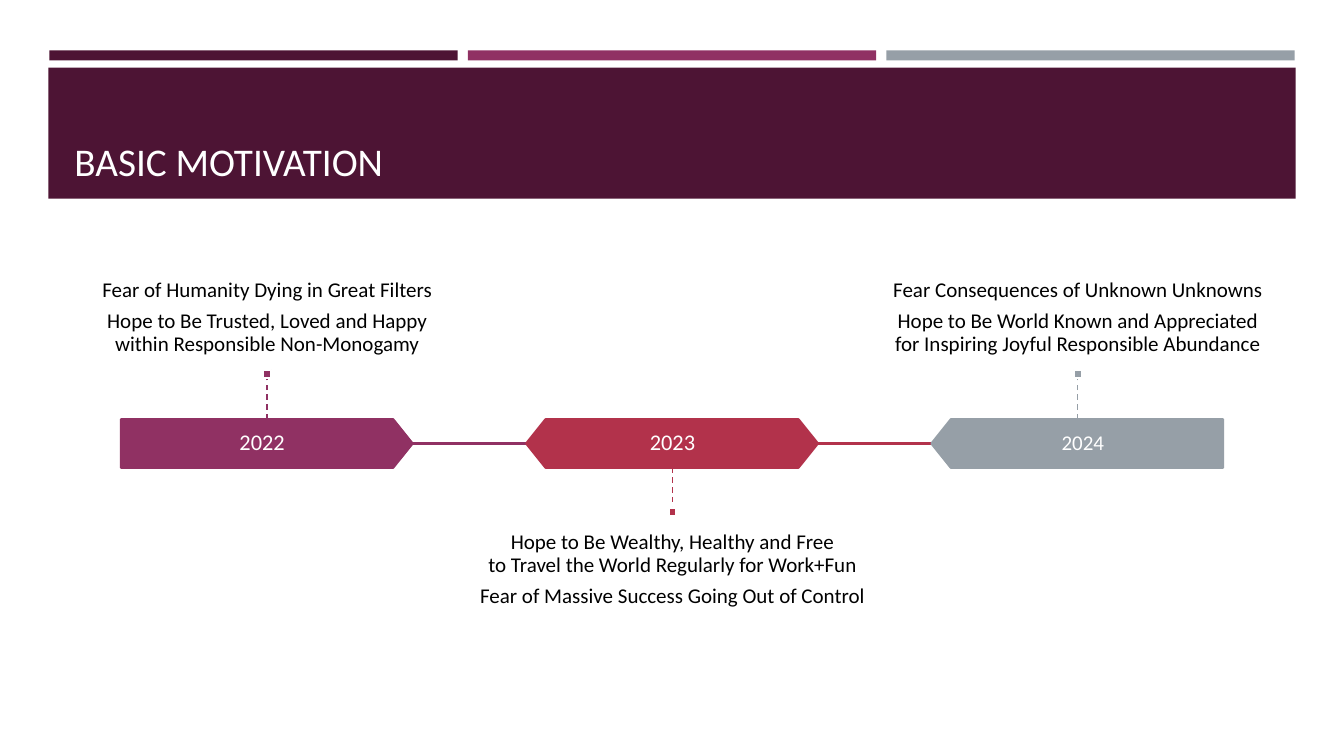
import copy
from dataclasses import dataclass

import pptx
import pptx.dml.color
import pptx.enum.dml
import pptx.enum.shapes
import pptx.enum.text
import pptx.oxml.ns
import pptx.oxml.xmlchemy
import pptx.util
import lxml.etree

KIND = pptx.enum.shapes.MSO_SHAPE
ANCHOR = pptx.enum.text.MSO_ANCHOR
ALIGN = pptx.enum.text.PP_ALIGN
QN = pptx.oxml.ns.qn


@dataclass(frozen=True)
class Theme:
    font: str = "Calibri"
    dark: str = "4D1434"
    plum: str = "903163"
    red: str = "B2324B"
    gray: str = "969FA7"
    white: str = "FFFFFF"
    black: str = "000000"
    title: int = 28
    year: int = 16
    small: int = 15
    rule: float = 1.75
    stem: int = 1


class Deck:
    """Draws styled elements on one slide, with lengths in px of 1/100 inch."""

    def __init__(self, theme, wide, high):
        self.theme = theme
        self.file = pptx.Presentation()
        self.file.slide_width = self.px(wide)
        self.file.slide_height = self.px(high)
        self.slide = self.file.slides.add_slide(self.file.slide_layouts[6])

    def px(self, value):
        return pptx.util.Emu(value * 9144)

    def color(self, value):
        return pptx.dml.color.RGBColor.from_string(value)

    def shape(self, box, fill, kind=KIND.RECTANGLE, edge=None, adj=None, turn=0):
        item = self.slide.shapes.add_shape(kind, *map(self.px, box))
        item.shadow.inherit = False
        item.fill.solid()
        item.fill.fore_color.rgb = self.color(fill)
        if edge:
            item.line.color.rgb = self.color(edge)
            item.line.width = pptx.util.Pt(self.theme.rule)
        else:
            item.line.fill.background()
        if adj is not None:
            item.adjustments[0] = adj
        item.rotation = turn

    def line(self, start, end, color, width, dash=False):
        item = self.slide.shapes.add_connector(
            pptx.enum.shapes.MSO_CONNECTOR.STRAIGHT, *map(self.px, start + end))
        item.line.color.rgb = self.color(color)
        item.line.width = pptx.util.Pt(width)
        if dash:
            item.line.dash_style = pptx.enum.dml.MSO_LINE.DASH
        lxml.etree.SubElement(item._element.spPr, QN("a:effectLst"))

    def text(self, box, words, size, color, anchor, align=ALIGN.CENTER, pad=(0, 0)):
        frame = self.slide.shapes.add_textbox(*map(self.px, box)).text_frame
        frame.word_wrap = True
        frame.vertical_anchor = anchor
        frame.margin_left = frame.margin_right = self.px(pad[0])
        frame.margin_top = frame.margin_bottom = self.px(pad[1])
        frame.text = words
        for rank, para in enumerate(frame.paragraphs):
            para.alignment = align
            para.line_spacing = 0.9
            para.space_before = pptx.util.Pt(6 if rank else 0)
            for run in para.runs:
                run.font.name = self.theme.font
                run.font.size = pptx.util.Pt(size)
                run.font.color.rgb = self.color(color)
            for gap in para._p.findall(QN("a:br")):
                gap.append(copy.deepcopy(para.runs[0]._r.rPr))

    def save(self):
        self.file.save("out.pptx")


def main():
    theme = Theme()
    deck = Deck(theme, 1333, 750)

    for rank, color in enumerate((theme.dark, theme.plum, theme.gray)):
        deck.shape((49 + 415 * rank, 50, 405, 10), color)
    deck.shape((48, 67, 1237, 130), theme.dark)
    deck.text((64, 77, 1206, 111), "BASIC MOTIVATION", theme.title, theme.white,
              ANCHOR.BOTTOM, ALIGN.LEFT, (10, 5))

    steps = (
        ("2022", theme.plum, theme.year, KIND.PENTAGON, 0, True,
         "Fear of Humanity Dying in Great Filters\n"
         "Hope to Be Trusted, Loved and Happy\vwithin Responsible Non-Monogamy"),
        ("2023", theme.red, theme.year, KIND.HEXAGON, 0, False,
         "Hope to Be Wealthy, Healthy and Free\vto Travel the World Regularly for Work+Fun\n"
         "Fear of Massive Success Going Out of Control"),
        ("2024", theme.gray, theme.small, KIND.PENTAGON, 180, True,
         "Fear Consequences of Unknown Unknowns\n"
         "Hope to Be World Known and Appreciated\vfor Inspiring Joyful Responsible Abundance"),
    )
    pitch, wide, top, high = 402, 289, 416, 48
    for rank, (year, color, size, kind, turn, above, words) in enumerate(steps):
        left = 120 + pitch * rank
        mid = left + 145
        deck.shape((left, top, wide, high), color, kind, color, 0.4, turn)
        deck.text((left + 5 * rank, top, 280, high), year, size, theme.white, ANCHOR.MIDDLE)
        if rank < len(steps) - 1:
            deck.line((left + wide, 440), (left + pitch, 440), color, theme.rule)
        near, far, dot, note, anchor = (
            (top, 375, 367, 239, ANCHOR.BOTTOM) if above
            else (top + high, 504, 504, 512, ANCHOR.TOP))
        deck.line((mid, near), (mid, far), color, theme.stem, True)
        deck.shape((mid - 4, dot, 8, 8), color, edge=theme.white)
        deck.text((left - 56, note, 402, 129), words, theme.small, theme.black,
                  anchor, pad=(0, 15))
    deck.save()


if __name__ == "__main__":
    main()
